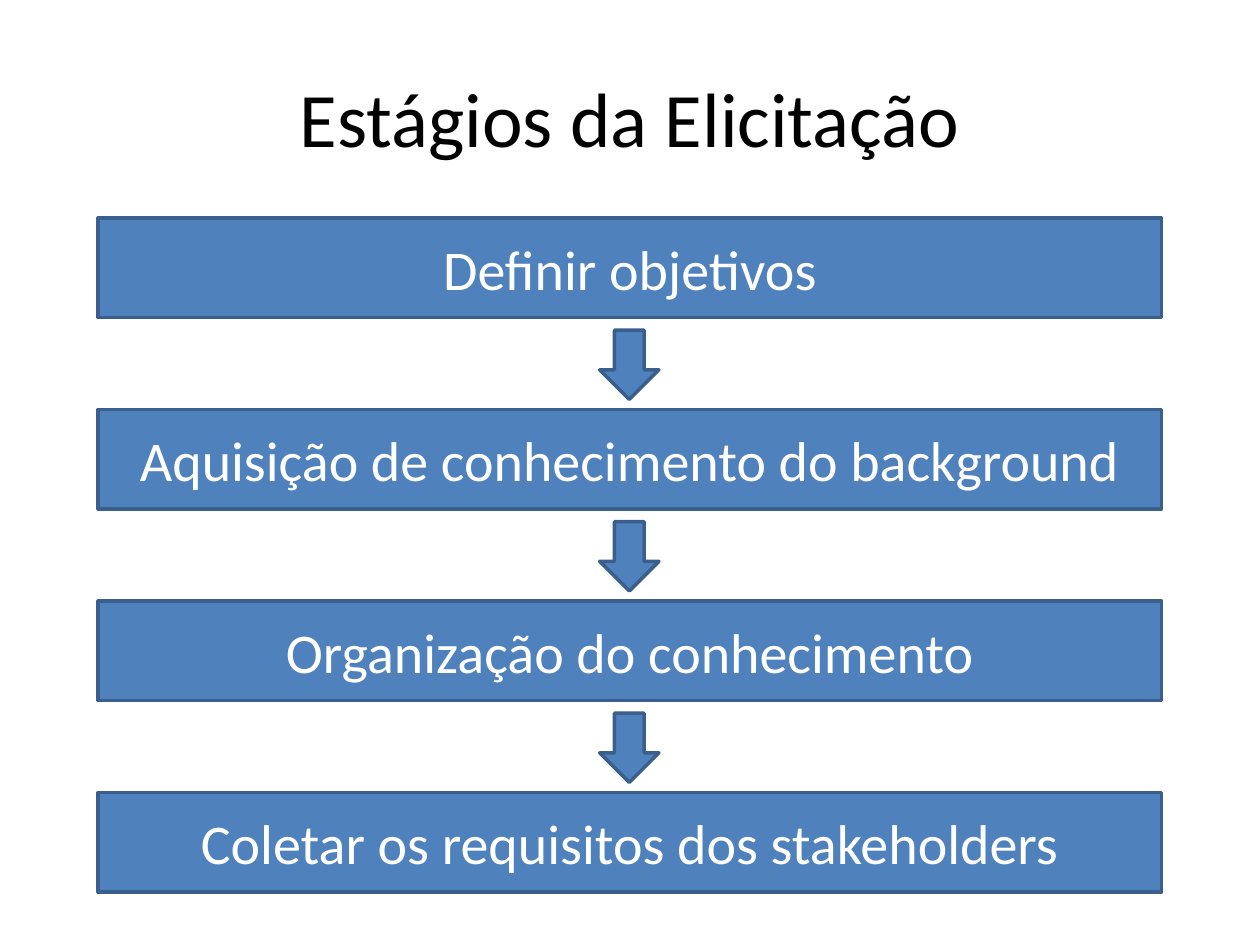
"""Build the slide with the four stages of requirements elicitation."""
import pptx
import pptx.dml.color
import pptx.enum.shapes
import pptx.enum.text
import pptx.util

Inches = pptx.util.Inches
RGBColor = pptx.dml.color.RGBColor
MSO_SHAPE = pptx.enum.shapes.MSO_SHAPE

BLACK = RGBColor(0x00, 0x00, 0x00)
WHITE = RGBColor(0xFF, 0xFF, 0xFF)
BLUE = RGBColor(0x4F, 0x81, 0xBD)
DARK_BLUE = RGBColor(0x3A, 0x5F, 0x8C)

STAGES = [
    "Definir objetivos",
    "Aquisição de conhecimento do background",
    "Organização do conhecimento",
    "Coletar os requisitos dos stakeholders",
]
FIRST_TOP = 1.73
STAGE_PITCH = 1.52
ARROW_OFFSET = 0.89


class StageSlide:
    font_name = "Calibri"
    title_format = {"size": pptx.util.Pt(44), "color": BLACK}
    stage_format = {"size": pptx.util.Pt(32), "color": WHITE}

    def __init__(self, presentation):
        self.slide = presentation.slides.add_slide(presentation.slide_layouts[5])

    def set_text(self, shape, text, font_format):
        frame = shape.text_frame
        frame.text = text
        frame.word_wrap = True
        frame.vertical_anchor = pptx.enum.text.MSO_ANCHOR.MIDDLE
        paragraph = frame.paragraphs[0]
        paragraph.alignment = pptx.enum.text.PP_ALIGN.CENTER
        font = paragraph.runs[0].font
        for name, value in {"name": self.font_name, **font_format}.items():
            if name == "color":
                font.color.rgb = value
            else:
                setattr(font, name, value)

    def add_title(self, text, left, top, width, height):
        title = self.slide.shapes.title
        position = {"left": left, "top": top, "width": width, "height": height}
        for name, value in position.items():
            setattr(title, name, Inches(value))
        self.set_text(title, text, self.title_format)

    def add_block(self, kind, left, top, width, height):
        shape = self.slide.shapes.add_shape(
            kind, Inches(left), Inches(top), Inches(width), Inches(height)
        )
        shape.shadow.inherit = False
        shape.fill.solid()
        shape.fill.fore_color.rgb = BLUE
        shape.line.color.rgb = DARK_BLUE
        shape.line.width = pptx.util.Pt(2)
        return shape

    def add_stage(self, text, top):
        box = self.add_block(MSO_SHAPE.RECTANGLE, 0.78, top, 8.44, 0.79)
        self.set_text(box, text, self.stage_format)

    def add_arrow(self, top):
        self.add_block(MSO_SHAPE.DOWN_ARROW, 4.76, top, 0.47, 0.55)


def main():
    presentation = pptx.Presentation()
    presentation.slide_width = Inches(10)
    presentation.slide_height = Inches(7.5)
    stage_slide = StageSlide(presentation)
    stage_slide.add_title("Estágios da Elicitação", 0.5, 0.3, 9, 1.25)
    for index, stage in enumerate(STAGES):
        top = FIRST_TOP + index * STAGE_PITCH
        stage_slide.add_stage(stage, top)
        if index < len(STAGES) - 1:
            stage_slide.add_arrow(top + ARROW_OFFSET)
    presentation.save("out.pptx")


if __name__ == "__main__":
    main()
